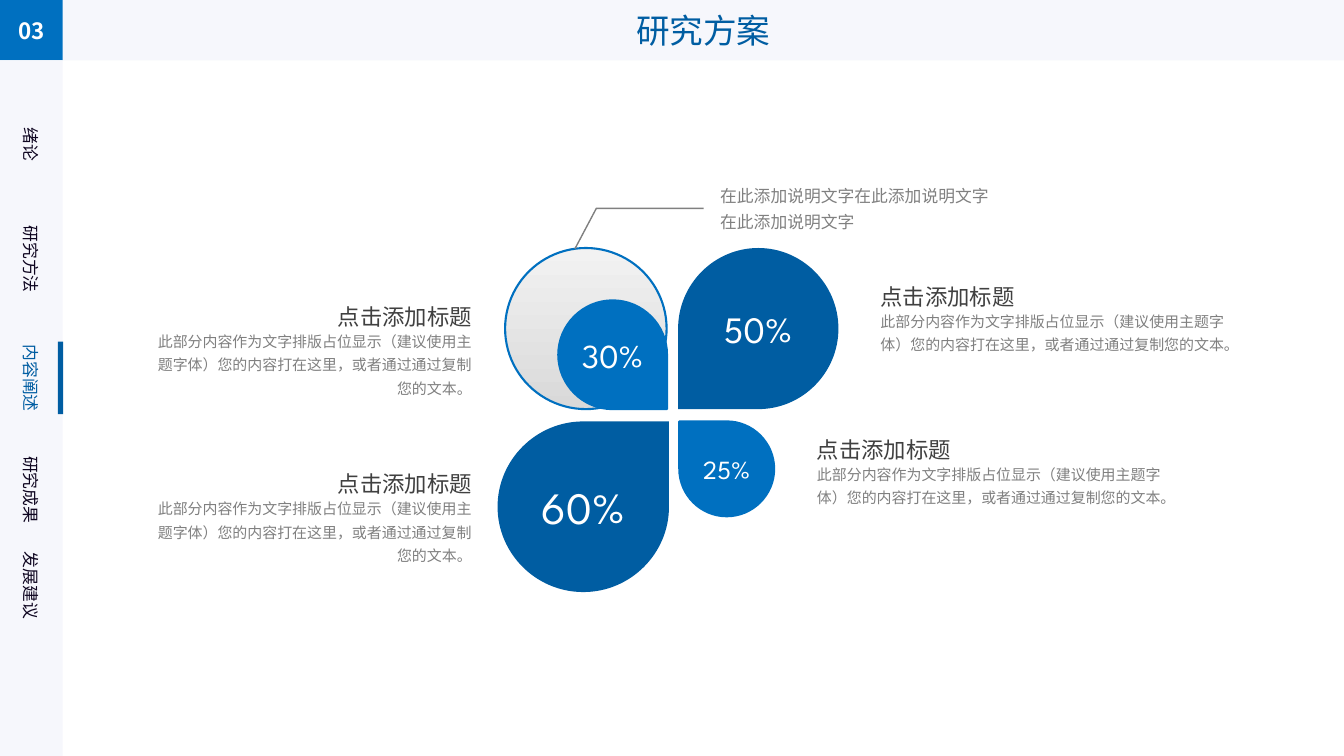
from dataclasses import dataclass
from math import cos, pi, sin
from typing import Optional

from lxml.etree import SubElement
from pptx import Presentation
from pptx.dml.color import RGBColor
from pptx.enum.shapes import MSO_SHAPE as Preset
from pptx.enum.text import MSO_ANCHOR as Anchor, MSO_AUTO_SIZE as AutoSize, PP_ALIGN as Align
from pptx.oxml.ns import qn
from pptx.util import Cm, Pt

NAVY = RGBColor(0x00, 0x5D, 0xA2)
BLUE = RGBColor(0x00, 0x70, 0xC0)
PALE = RGBColor(0xF6, 0xF7, 0xFC)
WHITE = RGBColor(0xFF, 0xFF, 0xFF)
INK = RGBColor(0x0E, 0x05, 0x20)
CHARCOAL = RGBColor(0x40, 0x40, 0x40)
GREY = RGBColor(0x80, 0x80, 0x80)
SHADE = RGBColor(0xD9, 0xD9, 0xD9)
LIGHT = RGBColor(0xF2, 0xF2, 0xF2)

SANS = "Noto Sans CJK SC"
BOLD_SANS = "Noto Sans CJK JP"
DISPLAY = "League Spartan"

WIDTH, HEIGHT = 33.87, 19.05
RAIL, HEADER = 1.58, 1.52
ROUNDNESS = 0.55  # control distance of a quarter circle
HEADING = "点击添加标题"
DETAIL = "此部分内容作为文字排版占位显示（建议使用主题字体）您的内容打在这里，或者通过通过复制您的文本。"


@dataclass(frozen=True)
class NavItem:
    label: str
    middle: float
    color: RGBColor = INK


@dataclass(frozen=True)
class Petal:
    label: str
    left: float
    top: float
    width: float
    height: float
    tip_x: int  # 1 right, -1 left
    tip_y: int  # 1 bottom, -1 top
    size: float
    color: RGBColor
    outlined: bool = False


@dataclass(frozen=True)
class Caption:
    left: float
    top: float
    width: float
    detail_height: float
    align: Align


NAV_ITEMS = [
    NavItem("绪论", 3.63),
    NavItem("研究方法", 6.53),
    NavItem("内容阐述", 9.53, NAVY),
    NavItem("研究成果", 12.34),
    NavItem("发展建议", 14.75),
]
PETALS = [
    Petal("30%", 14.07, 7.57, 2.74, 2.74, 1, 1, 24, BLUE, True),
    Petal("50%", 17.09, 6.25, 4.04, 4.06, -1, 1, 26.6, NAVY),
    Petal("25%", 17.12, 10.62, 2.39, 2.39, -1, -1, 18.7, BLUE, True),
    Petal("60%", 12.54, 10.62, 4.32, 4.3, 1, -1, 32, NAVY),
]
CAPTIONS = [
    Caption(20.34, 10.64, 9.19, 1.37, Align.LEFT),
    Caption(3.53, 7.3, 8.61, 1.98, Align.RIGHT),
    Caption(21.94, 6.8, 9.19, 1.37, Align.LEFT),
    Caption(3.53, 11.52, 8.61, 1.98, Align.RIGHT),
]


def write(para, text: str, size: float, color: RGBColor, font: str = SANS,
          align: Align = Align.CENTER, spacing: Optional[float] = None, bold: bool = False) -> None:
    para.alignment = align
    if spacing:
        para.line_spacing = spacing
    span = para.add_run()
    span.text = text
    span.font.size, span.font.name, span.font.bold = Pt(size), font, bold
    span.font.color.rgb = color
    east_asian = span.font._element.makeelement(qn("a:ea"), {"typeface": font})
    span.font._element.find(qn("a:latin")).addnext(east_asian)


def paint(shape, fill: Optional[RGBColor], line: Optional[RGBColor] = None, weight: float = 1.5) -> None:
    shape.shadow.inherit = False
    if fill is None:
        shape.fill.background()
    else:
        shape.fill.solid()
        shape.fill.fore_color.rgb = fill
    if line is None:
        shape.line.fill.background()
    else:
        shape.line.color.rgb = line
        shape.line.width = Pt(weight)


def add_block(page, left: float, top: float, width: float, height: float, fill: RGBColor):
    block = page.shapes.add_shape(Preset.RECTANGLE, Cm(left), Cm(top), Cm(width), Cm(height))
    paint(block, fill)
    return block


def add_text_box(page, left: float, top: float, width: float, height: float, wrap: bool = True):
    box = page.shapes.add_textbox(Cm(left), Cm(top), Cm(width), Cm(height))
    box.text_frame.word_wrap = wrap
    box.text_frame.auto_size = AutoSize.SHAPE_TO_FIT_TEXT
    return box


def add_outline(page, points: list[tuple[float, float]], close: bool):
    corners = [(Cm(x), Cm(y)) for x, y in points]
    builder = page.shapes.build_freeform(*corners[0])
    builder.add_line_segments(corners[1:], close=close)
    return builder.convert_to_shape()


def round_sides(shape, count: int) -> None:
    """Turn the first sides of an outline into quarter ellipses about its centre."""
    outline = next(shape._element.iter(qn("a:path")))
    center = (shape.width / 2, shape.height / 2)
    ends = [(int(point.get("x")), int(point.get("y"))) for point in outline.iter(qn("a:pt"))]
    for side, begin, end in zip(list(outline)[1:count + 1], ends, ends[1:]):
        leave = [b + ROUNDNESS * (e - c) for b, e, c in zip(begin, end, center)]
        arrive = [e + ROUNDNESS * (b - c) for b, e, c in zip(begin, end, center)]
        curve = outline.makeelement(qn("a:cubicBezTo"), {})
        for x, y in (leave, arrive, end):
            SubElement(curve, qn("a:pt"), x=str(round(x)), y=str(round(y)))
        outline.replace(side, curve)


def add_title(page) -> None:
    title = page.shapes.title
    title.left, title.top = Cm(RAIL), Cm(0)
    title.width, title.height = Cm(WIDTH - RAIL), Cm(HEADER)
    title.fill.solid()
    title.fill.fore_color.rgb = PALE
    title.text_frame.auto_size = AutoSize.NONE
    title.text_frame.vertical_anchor = Anchor.MIDDLE
    write(title.text_frame.paragraphs[0], "研究方案", 24, NAVY)


def add_navigation(page) -> None:
    number = add_block(page, 0, 0, RAIL, HEADER, BLUE)
    number.text_frame.vertical_anchor = Anchor.MIDDLE
    write(number.text_frame.paragraphs[0], "03", 16, WHITE, BOLD_SANS, bold=True)
    add_block(page, 0, HEADER, RAIL, HEIGHT - HEADER, PALE)
    for item in NAV_ITEMS:
        width, height = 0.5 + 0.435 * len(item.label), 0.76
        box = add_text_box(page, (RAIL - width) / 2, item.middle - height / 2, width, height, wrap=False)
        box.rotation = 90
        write(box.text_frame.paragraphs[0], item.label, 12, item.color)
    add_block(page, 1.46, 8.61, 0.13, 1.83, NAVY)


def add_petal(page, petal: Petal) -> None:
    """Draw three quarters of an ellipse closed by one square corner."""
    radius_x, radius_y = petal.width / 2, petal.height / 2
    center_x, center_y = petal.left + radius_x, petal.top + radius_y
    start = {(1, 1): 0.5, (-1, 1): 1, (-1, -1): 1.5, (1, -1): 0}[petal.tip_x, petal.tip_y] * pi
    angles = [start + quarter * pi / 2 for quarter in range(4)]
    arc = [(center_x + radius_x * cos(angle), center_y + radius_y * sin(angle)) for angle in angles]
    tip = (center_x + petal.tip_x * radius_x, center_y + petal.tip_y * radius_y)
    shape = add_outline(page, [*arc, tip], close=True)
    round_sides(shape, 3)
    paint(shape, petal.color, petal.color if petal.outlined else None)
    shape.text_frame.vertical_anchor = Anchor.MIDDLE
    write(shape.text_frame.paragraphs[0], petal.label, petal.size, WHITE, DISPLAY)


def add_backing_circle(page) -> None:
    circle = page.shapes.add_shape(Preset.OVAL, Cm(12.73), Cm(6.25), Cm(4.07), Cm(4.06))
    paint(circle, None, BLUE)
    circle.fill.gradient()
    circle.fill.gradient_angle = 90
    for stop, color in zip(circle.fill.gradient_stops, (SHADE, LIGHT)):
        stop.color.rgb = color


def add_caption(page, caption: Caption) -> None:
    heading_width = 8.23
    shift = caption.width - heading_width if caption.align == Align.RIGHT else 0
    heading = add_text_box(page, caption.left + shift, caption.top, heading_width, 0.91)
    heading.text_frame.margin_top = heading.text_frame.margin_bottom = 0
    write(heading.text_frame.paragraphs[0], HEADING, 16, CHARCOAL, align=caption.align, spacing=1.5)
    detail = add_text_box(page, caption.left, caption.top + 0.82, caption.width, caption.detail_height)
    write(detail.text_frame.paragraphs[0], DETAIL, 10.7, GREY, align=caption.align, spacing=1.3)


def add_callout(page) -> None:
    leader = add_outline(page, [(14.49, 6.27), (15.03, 5.25), (17.73, 5.25)], close=False)
    paint(leader, None, GREY, 1)
    frame = add_text_box(page, 17.9, 4.41, 7.44, 1.52).text_frame
    for text in ("在此添加说明文字在此添加说明文字", "在此添加说明文字"):
        para = frame.add_paragraph() if frame.text else frame.paragraphs[0]
        write(para, text, 12, GREY, align=Align.LEFT, spacing=1.3)


def main() -> None:
    deck = Presentation()
    deck.slide_width, deck.slide_height = Cm(WIDTH), Cm(HEIGHT)
    page = deck.slides.add_slide(deck.slide_layouts[5])
    add_title(page)
    add_navigation(page)
    add_backing_circle(page)
    for petal in PETALS:
        add_petal(page, petal)
    for caption in CAPTIONS:
        add_caption(page, caption)
    add_callout(page)
    deck.save("out.pptx")


if __name__ == "__main__":
    main()
